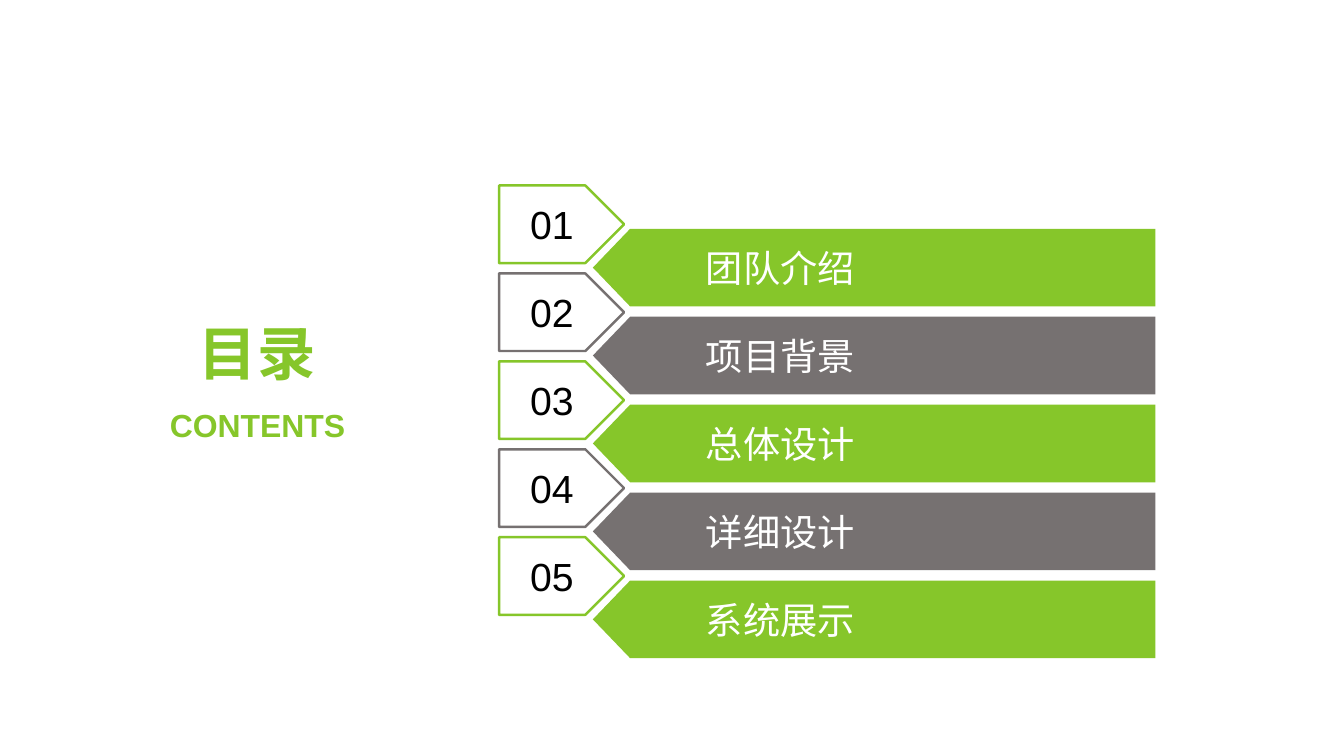
from pptx import Presentation
from pptx.dml.color import RGBColor
from pptx.enum import shapes, text
from pptx.util import Inches, Pt

HEADING = "目录"
SUBHEADING = "CONTENTS"
CHAPTERS = ["团队介绍", "项目背景", "总体设计", "详细设计", "系统展示"]

THEME = {
    "font": "Arial",
    "green": RGBColor(0x86, 0xC6, 0x2A),
    "gray": RGBColor(0x76, 0x71, 0x71),
    "black": RGBColor(0, 0, 0),
    "white": RGBColor(0xFF, 0xFF, 0xFF),
    "heading": Pt(41.7),
    "subheading": Pt(22.8),
    "number": Pt(28),
    "chapter": Pt(26.6),
    "outline": Pt(1.75),
}

FIRST_TOP, LAST_TOP = 1.84, 5.33
ROW_HEIGHT = 0.77
TAG_LEFT, TAG_WIDTH = 4.95, 1.24
BAR_TIP, BAR_SHOULDER, BAR_RIGHT = 5.88, 6.25, 11.46
BAR_DROP = 0.43
LABEL_INSET = 1.12


def write(shape, wording, size, color, bold=False, inset=0,
          align=text.PP_ALIGN.CENTER, anchor=text.MSO_ANCHOR.MIDDLE):
    frame = shape.text_frame
    frame.text = wording
    paragraph = frame.paragraphs[0]
    paragraph.alignment = align
    frame_format = {
        "margin_left": Inches(inset), "margin_top": 0,
        "margin_right": 0, "margin_bottom": 0,
        "word_wrap": True, "vertical_anchor": anchor,
        "auto_size": text.MSO_AUTO_SIZE.NONE,
    }
    for name, value in frame_format.items():
        setattr(frame, name, value)
    font = paragraph.runs[0].font
    font_format = {"name": THEME["font"], "size": THEME[size], "bold": bold}
    for name, value in font_format.items():
        setattr(font, name, value)
    font.color.rgb = THEME[color]


def add_tag(slide, number, top, color):
    tag = slide.shapes.add_shape(
        shapes.MSO_SHAPE.PENTAGON, Inches(TAG_LEFT), Inches(top),
        Inches(TAG_WIDTH), Inches(ROW_HEIGHT))
    tag.shadow.inherit = False
    tag.fill.background()
    tag.line.color.rgb = THEME[color]
    tag.line.width = THEME["outline"]
    write(tag, f"{number:02d}", "number", "black")


def add_bar(slide, chapter, top, color):
    """Add a bar whose left end points at the gap between number tags."""
    bottom = top + ROW_HEIGHT
    corners = [(BAR_SHOULDER, top), (BAR_RIGHT, top),
               (BAR_RIGHT, bottom), (BAR_SHOULDER, bottom)]
    outline = slide.shapes.build_freeform(
        Inches(BAR_TIP), Inches(top + ROW_HEIGHT / 2))
    outline.add_line_segments([(Inches(x), Inches(y)) for x, y in corners])
    bar = outline.convert_to_shape()
    bar.shadow.inherit = False
    bar.fill.solid()
    bar.fill.fore_color.rgb = THEME[color]
    bar.line.fill.background()
    write(bar, chapter, "chapter", "white", inset=LABEL_INSET,
          align=text.PP_ALIGN.LEFT)


def main():
    deck = Presentation()
    deck.slide_width, deck.slide_height = Inches(13.33), Inches(7.5)
    slide = deck.slides.add_slide(deck.slide_layouts[5])

    heading = slide.shapes.title
    heading.left, heading.top = Inches(1.51), Inches(3.14)
    heading.width, heading.height = Inches(2.08), Inches(0.7)
    write(heading, HEADING, "heading", "green", bold=True)

    subheading = slide.shapes.add_textbox(
        Inches(1.44), Inches(4.02), Inches(2.23), Inches(0.38))
    write(subheading, SUBHEADING, "subheading", "green", bold=True,
          anchor=text.MSO_ANCHOR.TOP)

    pitch = (LAST_TOP - FIRST_TOP) / (len(CHAPTERS) - 1)
    for index, chapter in enumerate(CHAPTERS):
        top = FIRST_TOP + index * pitch
        color = ("green", "gray")[index % 2]
        add_tag(slide, index + 1, top, color)
        add_bar(slide, chapter, top + BAR_DROP, color)

    deck.save("out.pptx")


if __name__ == "__main__":
    main()
